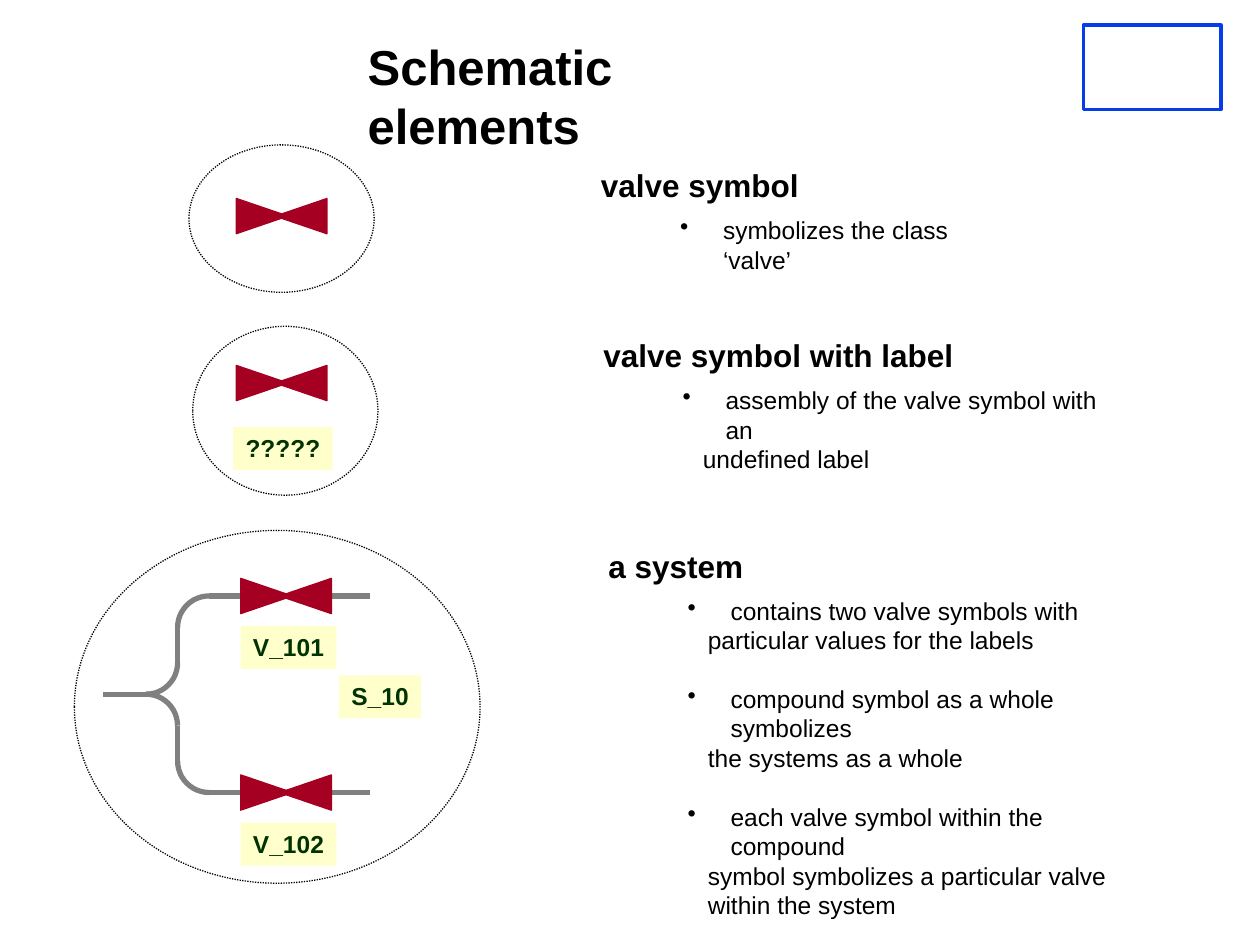
from dataclasses import dataclass

import pptx
import pptx.dml.color
import pptx.enum.dml
import pptx.enum.shapes
import pptx.enum.text
import pptx.oxml.ns
import pptx.oxml.xmlchemy
import pptx.util
from lxml import etree
from pptx.util import Inches

SHAPES = pptx.enum.shapes.MSO_SHAPE


@dataclass(frozen=True)
class Theme:
    font: str = "Arial"
    text: str = "000000"
    label_text: str = "003300"
    label_fill: str = "FFFFCC"
    valve: str = "A50021"
    pipe: str = "808080"
    logo: str = "063DE8"
    white: str = "FFFFFF"
    title_size: int = 28
    heading_size: int = 18
    body_size: int = 14
    line_spacing: float = 1.2


THEME = Theme()


def rgb(value):
    return pptx.dml.color.RGBColor.from_string(value)


def add_shape(slide, kind, box, fill=None, line=None, line_width=0.75):
    shape = slide.shapes.add_shape(kind, *map(Inches, box))
    shape.shadow.inherit = False
    if fill:
        shape.fill.solid()
        shape.fill.fore_color.rgb = rgb(fill)
    else:
        shape.fill.background()
    if line:
        shape.line.color.rgb = rgb(line)
        shape.line.width = pptx.util.Pt(line_width)
    else:
        shape.line.fill.background()
    return shape


def style_paragraph(paragraph, size, color, bold=False):
    paragraph.alignment = pptx.enum.text.PP_ALIGN.LEFT
    paragraph.line_spacing = pptx.util.Pt(size * THEME.line_spacing)
    font = paragraph.font
    font.name = THEME.font
    font.size = pptx.util.Pt(size)
    font.bold = bold
    font.color.rgb = rgb(color)


def indent_paragraph(paragraph, left, bullet):
    """Indent a paragraph; a bullet hangs at the left edge of the box."""
    properties = paragraph._p.get_or_add_pPr()
    properties.set("marL", str(Inches(left)))
    properties.set("indent", str(Inches(-left if bullet else 0)))
    if bullet:
        mark = etree.SubElement(properties, pptx.oxml.ns.qn("a:buChar"))
        mark.set("char", "•")


def add_line_of_text(slide, box, text, size):
    frame = slide.shapes.add_textbox(*map(Inches, box)).text_frame
    frame.word_wrap = False
    frame.text = text
    style_paragraph(frame.paragraphs[0], size, THEME.text, bold=True)


def add_label(slide, left, top, width, text):
    shape = add_shape(slide, SHAPES.RECTANGLE, (left, top, width, 0.34), THEME.label_fill)
    frame = shape.text_frame
    frame.word_wrap = False
    frame.vertical_anchor = pptx.enum.text.MSO_ANCHOR.TOP
    frame.text = text
    style_paragraph(frame.paragraphs[0], THEME.body_size, THEME.label_text, bold=True)


def add_valve(slide, center_x, center_y):
    """Two triangles, tip to tip, around the given centre."""
    base, length, offset = 0.28, 0.41, 0.155
    for side, rotation in ((1, 270), (-1, 90)):
        box = (center_x + side * offset - base / 2, center_y - length / 2, base, length)
        triangle = add_shape(slide, SHAPES.ISOSCELES_TRIANGLE, box, THEME.valve, THEME.valve)
        triangle.rotation = rotation


def add_pipe(slide, *ends):
    connector = slide.shapes.add_connector(
        pptx.enum.shapes.MSO_CONNECTOR.STRAIGHT, *map(Inches, ends))
    connector.line.color.rgb = rgb(THEME.pipe)
    connector.line.width = pptx.util.Pt(3)
    etree.SubElement(connector._element.spPr, pptx.oxml.ns.qn("a:effectLst"))


def add_bend(slide, center_x, center_y, radius, start):
    """Quarter circle running clockwise from the start angle in degrees."""
    box = (center_x - radius, center_y - radius, 2 * radius, 2 * radius)
    arc = add_shape(slide, SHAPES.ARC, box, line=THEME.pipe, line_width=3)
    for index, angle in enumerate((start, (start + 90) % 360)):
        arc.adjustments[index] = angle * 0.6  # 60000 units a degree, scaled by 100000


def add_outline(slide, box):
    ellipse = add_shape(slide, SHAPES.OVAL, box, line=THEME.text)
    ellipse.line.dash_style = pptx.enum.dml.MSO_LINE.ROUND_DOT


def add_valve_figure(slide, box):
    left, top, width, height = box
    add_valve(slide, left + width / 2, top + 0.565)
    add_outline(slide, box)


def add_labelled_valve_figure(slide, box):
    left, top, width, height = box
    add_valve(slide, left + 0.705, top + 0.45)
    add_label(slide, left + 0.32, top + 0.8, 0.79, "?????")
    add_outline(slide, box)


def add_system_figure(slide, box):
    """A pipe that forks into two branches, each with a labelled valve."""
    left, top, width, height = box
    inlet_y, trunk_x, reach, radius = top + 1.3, left + 0.82, 0.78, 0.25
    add_pipe(slide, left + 0.23, inlet_y, trunk_x - radius, inlet_y)
    for side, joint_start, corner_start, text in ((-1, 0, 180, "V_101"), (1, 270, 90, "V_102")):
        branch_y = inlet_y + side * reach
        joint_y, corner_y = inlet_y + side * radius, branch_y - side * radius
        add_bend(slide, trunk_x - radius, joint_y, radius, joint_start)
        add_pipe(slide, trunk_x, joint_y, trunk_x, corner_y)
        add_bend(slide, trunk_x + radius, corner_y, radius, corner_start)
        add_pipe(slide, trunk_x + radius, branch_y, left + 2.35, branch_y)
        add_valve(slide, left + 1.68, branch_y)
        add_label(slide, left + 1.32, branch_y + 0.24, 0.76, text)
    add_label(slide, left + 2.1, top + 1.15, 0.65, "S_10")
    add_outline(slide, box)


def add_description(slide, box, heading, items):
    """A heading over bullets; the first line of an item carries the bullet."""
    left, top, width, height = box
    add_line_of_text(slide, (left, top, width, 0.4), heading, THEME.heading_size)
    body = slide.shapes.add_textbox(
        *map(Inches, (left + 0.63, top + 0.39, width - 0.63, height - 0.39)))
    frame = body.text_frame
    frame.word_wrap = True
    paragraph = None
    for item in items:
        for index, text in enumerate(item):
            starts_item = index == 0
            starts_box = paragraph is None
            paragraph = frame.paragraphs[0] if starts_box else frame.add_paragraph()
            paragraph.text = text
            indent_paragraph(paragraph, 0.34 if starts_item else 0.16, starts_item)
            style_paragraph(paragraph, THEME.body_size, THEME.text)
            if starts_item and not starts_box:
                paragraph.space_before = pptx.util.Pt(THEME.body_size * THEME.line_spacing)


def add_logo_placeholder(slide, box):
    add_shape(slide, SHAPES.RECTANGLE, box, THEME.white, THEME.logo, 2)


def main():
    presentation = pptx.Presentation()
    presentation.slide_width = Inches(10)
    presentation.slide_height = Inches(7.5)
    slide = presentation.slides.add_slide(presentation.slide_layouts[6])

    add_logo_placeholder(slide, (8.6, 0.2, 1.09, 0.67))
    add_line_of_text(slide, (2.82, 0.24, 3.93, 0.57), "Schematic elements", THEME.title_size)
    add_valve_figure(slide, (1.5, 1.15, 1.47, 1.17))
    add_labelled_valve_figure(slide, (1.53, 2.59, 1.47, 1.34))
    add_system_figure(slide, (0.59, 4.21, 3.22, 2.8))

    add_description(slide, (4.67, 1.27, 3.39, 0.96), "valve symbol",
                    [["symbolizes the class ‘valve’"]])
    add_description(slide, (4.69, 2.62, 4.22, 1.19), "valve symbol with label",
                    [["assembly of the valve symbol with an", "undefined label"]])
    add_description(slide, (4.73, 4.29, 4.53, 3.06), "a system", [
        ["contains two valve symbols with", "particular values for the labels"],
        ["compound symbol as a whole symbolizes", "the systems as a whole"],
        ["each valve symbol within the compound", "symbol symbolizes a particular valve",
         "within the system"],
    ])
    presentation.save("out.pptx")


if __name__ == "__main__":
    main()
